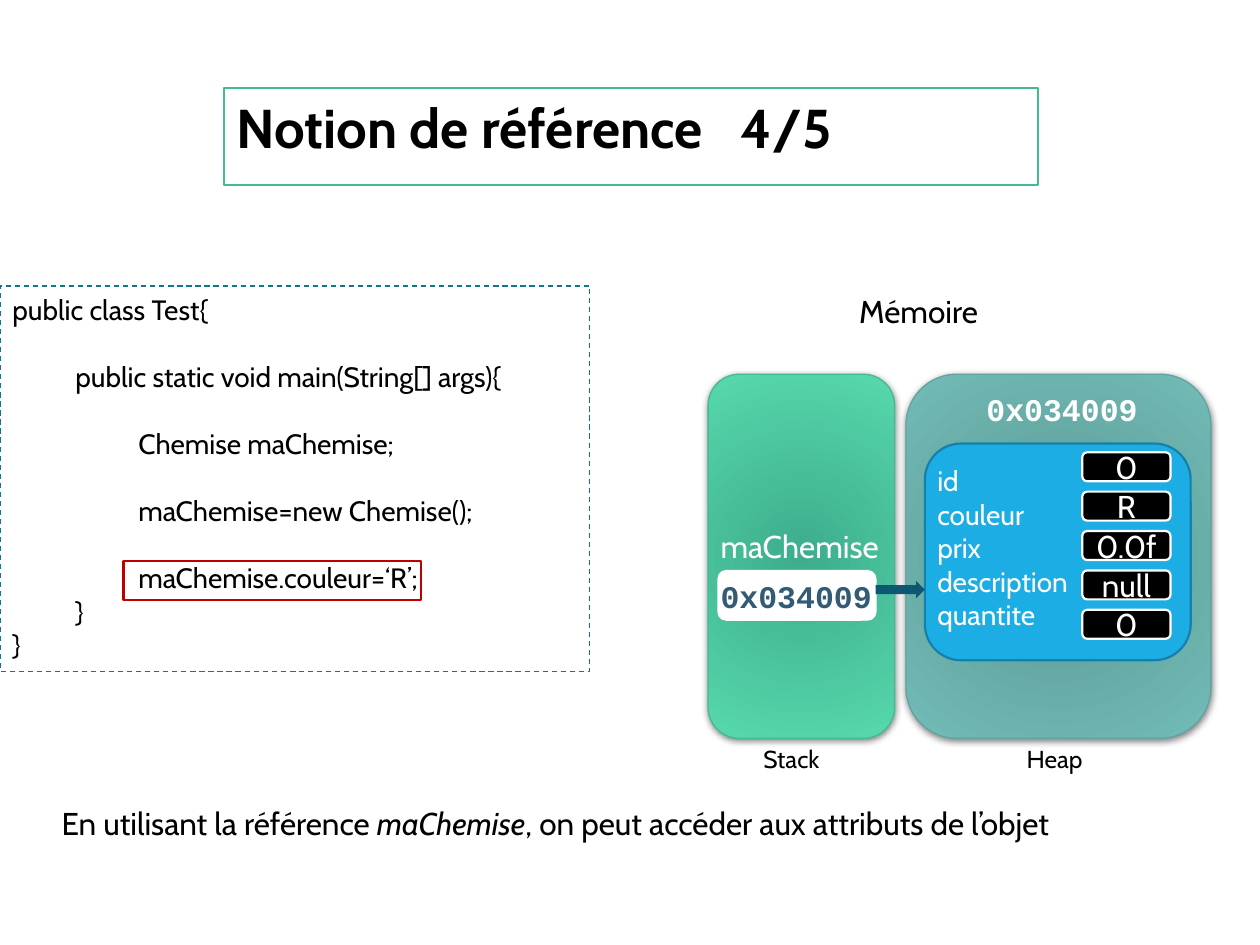
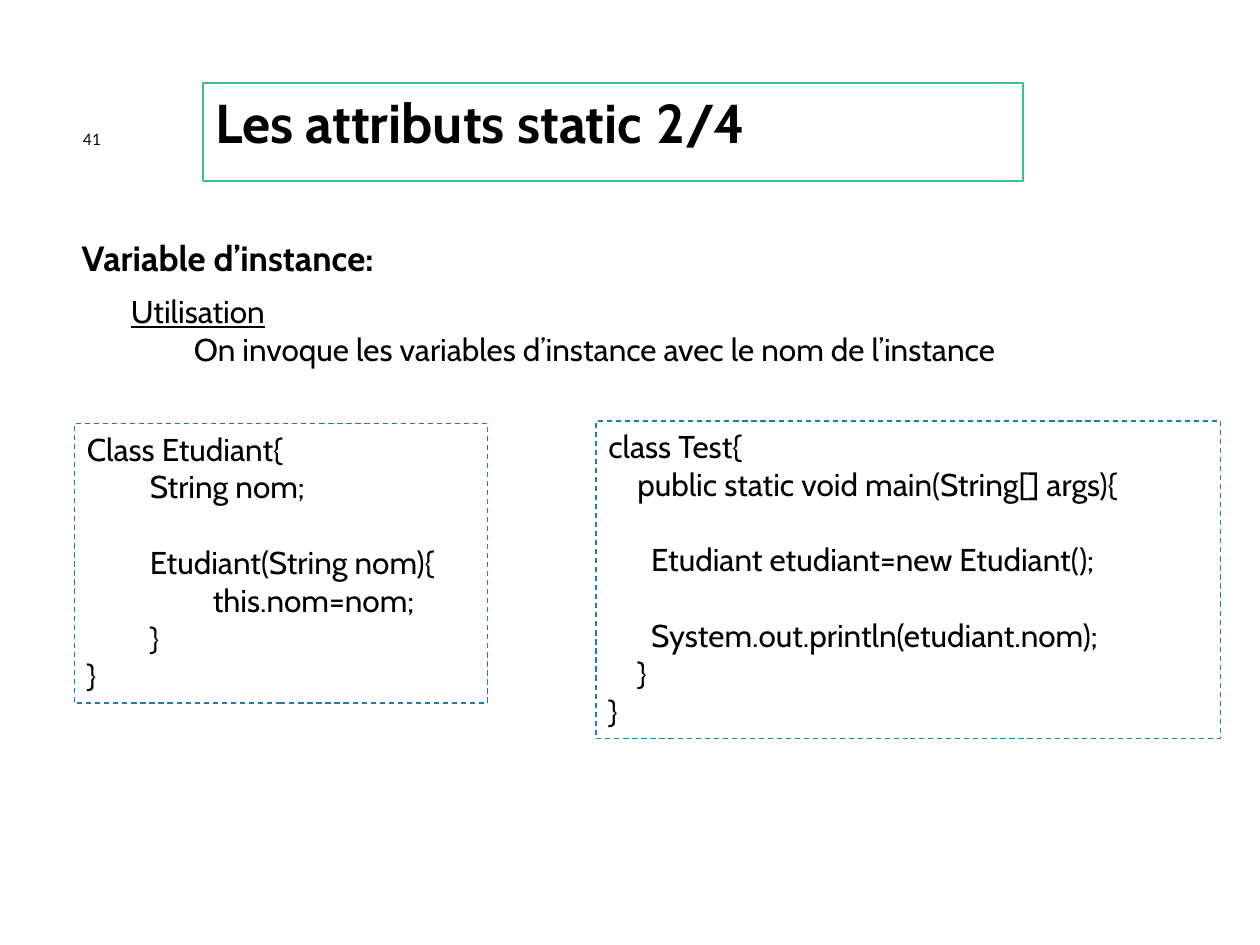
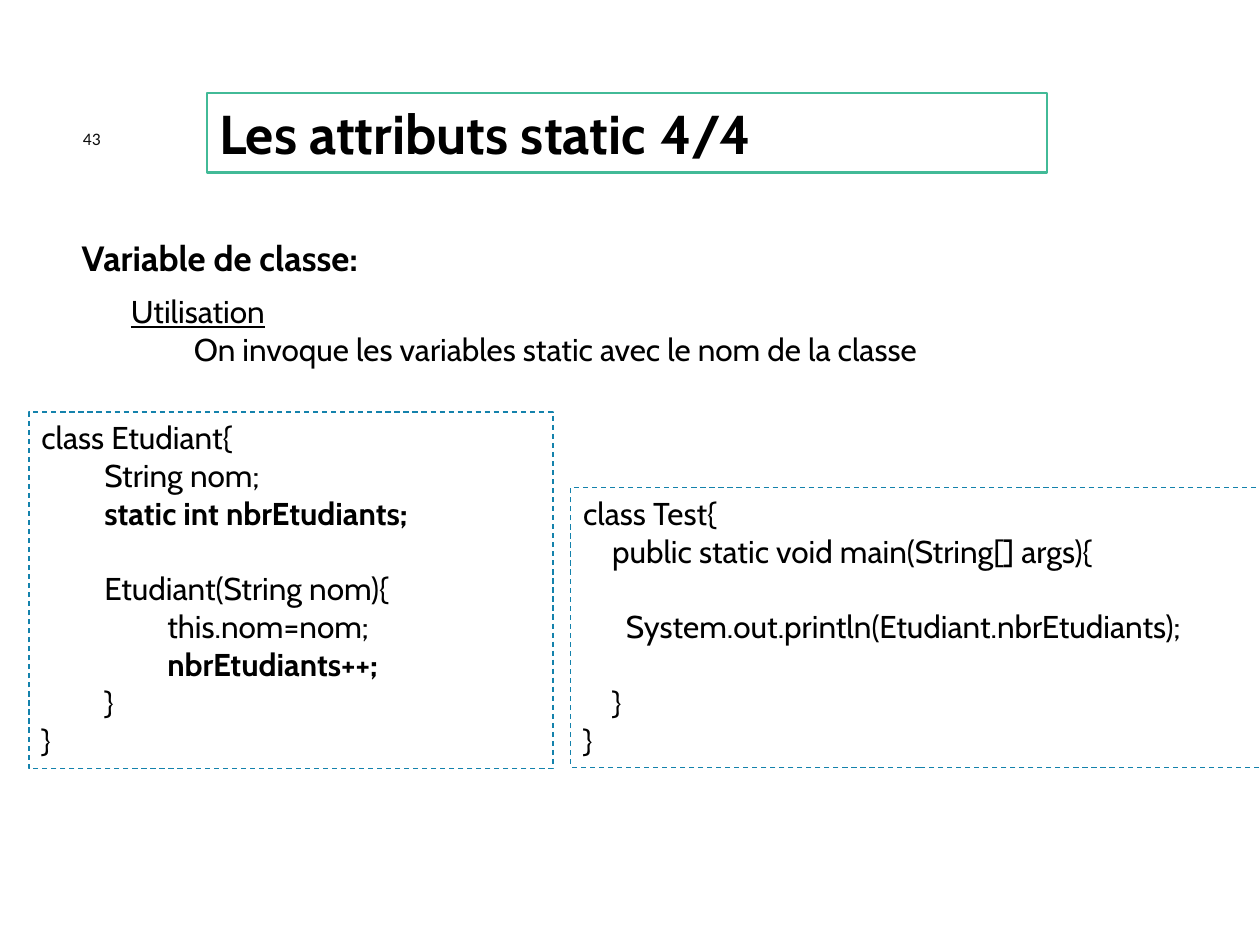
from dataclasses import dataclass

from lxml import etree
from pptx import Presentation
from pptx.dml.color import RGBColor
from pptx.enum.dml import MSO_LINE
from pptx.enum.shapes import MSO_SHAPE
from pptx.enum.text import MSO_ANCHOR, PP_ALIGN
from pptx.oxml.ns import qn
from pptx.util import Inches, Pt

RECT = MSO_SHAPE.RECTANGLE
ROUND = MSO_SHAPE.ROUNDED_RECTANGLE
ARROW = MSO_SHAPE.RIGHT_ARROW
DASH = MSO_LINE.DASH
TOP, MIDDLE = MSO_ANCHOR.TOP, MSO_ANCHOR.MIDDLE
LEFT, CENTER = PP_ALIGN.LEFT, PP_ALIGN.CENTER


@dataclass(frozen=True)
class Theme:
    font: str = "Cabin"
    mono: str = "Courier New"
    number_font: str = "Calibri"
    black: str = "000000"
    white: str = "FFFFFF"
    number: str = "0D0D0D"
    accent: str = "42BA97"
    code_line: str = "1482AC"
    code_line_dark: str = "0C788E"
    highlight: str = "C00000"
    stack: tuple = ("3DAD8D", "57D8AC")
    heap: tuple = ("5B9894", "72BBB6")
    heap_line: str = "62A39F"
    instance: str = "1CADE4"
    instance_line: str = "1580A9"
    address: str = "335B74"
    arrow: str = "0E5772"
    title_size: float = 31.2
    heading_size: float = 20
    body_size: float = 18
    code_size: float = 16
    label_size: float = 14
    number_size: float = 10
    line_pitch: float = 1.2
    thin: float = 0.75
    thick: float = 1.25


@dataclass(frozen=True)
class Box:
    x: float
    y: float
    w: float
    h: float

    def inner(self, dx, dy, w, h):
        return Box(self.x + dx, self.y + dy, w, h)

    def emu(self):
        return [Inches(v) for v in (self.x, self.y, self.w, self.h)]


@dataclass(frozen=True)
class Line:
    text: str
    indent: float = 0
    gap: bool = False
    bold: bool = False
    underline: bool = False


T = Theme()


def rgb(value):
    return RGBColor.from_string(value)


def add_shape(s, kind, box, fill=None, line=None, width=T.thick, dash=None):
    sp = s.shapes.add_shape(kind, *box.emu())
    sp.shadow.inherit = False
    if fill:
        sp.fill.solid()
        sp.fill.fore_color.rgb = rgb(fill)
    else:
        sp.fill.background()
    if line:
        sp.line.color.rgb = rgb(line)
        sp.line.width = Pt(width)
        if dash:
            sp.line.dash_style = dash
    else:
        sp.line.fill.background()
    return sp


def set_frame(sp, anchor=TOP, wrap=True):
    tf = sp.text_frame
    tf.word_wrap = wrap
    tf.vertical_anchor = anchor
    return tf


def add_run(p, text, size, color=T.black, font=T.font, bold=False,
            italic=False, underline=False):
    r = p.add_run()
    r.text = text
    f = r.font
    f.name, f.size, f.color.rgb = font, Pt(size), rgb(color)
    f.bold, f.italic, f.underline = bold, italic, underline


def add_lines(tf, lines, size, color=T.black):
    for i, line in enumerate(lines):
        p = tf.add_paragraph() if i else tf.paragraphs[0]
        p.alignment = LEFT
        p._p.get_or_add_pPr().set("marL", str(Inches(line.indent)))
        if line.gap:
            p.space_before = Pt(size * T.line_pitch)
        add_run(p, line.text, size, color, bold=line.bold,
                underline=line.underline)


def add_label(s, box, text, size, anchor=TOP, **style):
    tf = set_frame(s.shapes.add_textbox(*box.emu()), anchor)
    add_run(tf.paragraphs[0], text, size, **style)


def add_title(s, box, text, part, tab):
    tf = set_frame(add_shape(s, RECT, box, line=T.accent))
    p = tf.paragraphs[0]
    p.alignment = LEFT
    tabs = etree.SubElement(p._p.get_or_add_pPr(), qn("a:tabLst"))
    etree.SubElement(tabs, qn("a:tab"), pos=str(Inches(tab)), algn="l")
    add_run(p, text + "\t" + part, T.title_size, bold=True)


def add_number(s, number):
    add_label(s, Box(0.56, 0.94, 0.58, 0.32), number, T.number_size, MIDDLE,
              color=T.number, font=T.number_font)


def add_code(s, box, lines, size=T.body_size, line=T.code_line):
    sp = add_shape(s, RECT, box, line=line, width=T.thin, dash=DASH)
    add_lines(set_frame(sp), lines, size)


def add_usage(s, box, heading, rule):
    add_label(s, box.inner(0, 0, 2.93, 0.44), heading, T.heading_size, bold=True)
    body = s.shapes.add_textbox(*box.inner(0.39, 0.44, 8.67, 0.71).emu())
    add_lines(set_frame(body),
              [Line("Utilisation", underline=True), Line(rule, 0.5)],
              T.body_size)


def add_memory_panel(s, box, colors, line):
    sp = add_shape(s, ROUND, box, line=line, width=T.thin)
    sp.fill.gradient()
    for stop, color in zip(sp.fill.gradient_stops, colors):
        stop.color.rgb = rgb(color)
    pr = sp._element.spPr
    grad = pr.find(qn("a:gradFill"))
    grad.remove(grad.find(qn("a:lin")))
    radial = etree.SubElement(grad, qn("a:path"), path="circle")
    etree.SubElement(radial, qn("a:fillToRect"),
                     {side: "100000" for side in "ltrb"})
    shadow = etree.SubElement(pr.find(qn("a:effectLst")), qn("a:outerShdw"),
                              blurRad=str(Pt(4)), dist=str(Pt(1)),
                              dir="5400000", rotWithShape="0")
    black = etree.SubElement(shadow, qn("a:srgbClr"), val=T.black)
    etree.SubElement(black, qn("a:alpha"), val="50000")


def add_stack(s, box, variable, address):
    add_memory_panel(s, box, T.stack, T.accent)
    add_shape(s, ROUND, box.inner(0.08, 1.56, 1.25, 0.39), T.white, T.white, 1)
    add_label(s, box.inner(0, 1.16, 1.55, 0.4), variable, T.body_size,
              color=T.white)
    add_label(s, box.inner(0, 1.56, 1.41, 0.4), address, T.body_size,
              color=T.address, font=T.mono, bold=True)
    add_label(s, box.inner(0.34, box.h, 0.73, 0.34), "Stack", T.label_size)


def add_heap(s, box, address, fields):
    add_memory_panel(s, box, T.heap, T.heap_line)
    instance = box.inner(0.15, 0.55, 2.11, 1.72)
    add_shape(s, ROUND, instance, T.instance, T.instance_line)
    for i, (name, value) in enumerate(fields):
        cell = instance.inner(1.25, 0.07 + i * 0.3125, 0.7, 0.23)
        tf = set_frame(add_shape(s, ROUND, cell, T.black, T.white), MIDDLE, False)
        tf.paragraphs[0].alignment = CENTER
        add_run(tf.paragraphs[0], value, T.body_size, T.white)
    names = s.shapes.add_textbox(*instance.inner(0, 0.11, 1.28, 1.45).emu())
    add_lines(set_frame(names), [Line(name) for name, value in fields],
              T.code_size, T.white)
    add_label(s, box.inner(0.54, 0.08, 1.41, 0.4), address, T.body_size,
              color=T.white, font=T.mono, bold=True)
    add_label(s, box.inner(0.86, box.h, 0.73, 0.34), "Heap", T.label_size)


def add_memory(s, box, variable, address, fields):
    add_label(s, box.inner(1.1, 0, 1.29, 0.4), "Mémoire", T.body_size)
    add_stack(s, box.inner(0, 0.7, 1.48, 2.89), variable, address)
    add_heap(s, box.inner(1.57, 0.7, 2.42, 2.89), address, fields)
    add_shape(s, ARROW, box.inner(1.33, 2.34, 0.39, 0.14), T.arrow)


def build_reference(s):
    code = Box(0, 2.27, 4.68, 3.06)
    add_code(s, code, [
        Line("public class Test{"),
        Line("public static void main(String[] args){", 0.5, gap=True),
        Line("Chemise maChemise;", 1, gap=True),
        Line("maChemise=new Chemise();", 1, gap=True),
        Line("maChemise.couleur=‘R’;", 1, gap=True),
        Line("}", 0.5),
        Line("}"),
    ], T.code_size, T.code_line_dark)
    add_shape(s, RECT, code.inner(0.98, 2.18, 2.36, 0.31), line=T.highlight)
    add_memory(s, Box(5.62, 2.27, 3.99, 3.93), "maChemise", "0x034009", [
        ("id", "0"), ("couleur", "R"), ("prix", "0.0f"),
        ("description", "null"), ("quantite", "0"),
    ])
    note = s.shapes.add_textbox(*Box(0.39, 6.33, 9.66, 0.4).emu())
    p = set_frame(note).paragraphs[0]
    add_run(p, "En utilisant la référence ", T.body_size)
    add_run(p, "maChemise", T.body_size, italic=True)
    add_run(p, ", on peut accéder aux attributs de l’objet", T.body_size)
    add_title(s, Box(1.78, 0.7, 6.46, 0.77), "Notion de référence", "4/5", 4)


def build_static(s, number, title_box, part, heading, rule, codes):
    add_usage(s, Box(0.55, 1.83, 9.06, 1.15), heading, rule)
    for box, lines in codes:
        add_code(s, box, lines)
    add_title(s, title_box, "Les attributs static ", part, 3.5)
    add_number(s, number)


def test_class(*statements, closing_gap=False):
    return [
        Line("class Test{"),
        Line("public static void main(String[] args){", 0.23),
        *[Line(text, 0.34, gap=True) for text in statements],
        Line("}", 0.23, gap=closing_gap),
        Line("}"),
    ]


def student_class(opening, field=(), update=()):
    return [
        Line(opening),
        Line("String nom;", 0.5),
        *[Line(text, 0.5, bold=True) for text in field],
        Line("Etudiant(String nom){", 0.5, gap=True),
        Line("this.nom=nom;", 1),
        *[Line(text, 1, bold=True) for text in update],
        Line("}", 0.5),
        Line("}"),
    ]


prs = Presentation()
prs.slide_width, prs.slide_height = Inches(10), Inches(7.5)
blank = prs.slide_layouts[6]

build_reference(prs.slides.add_slide(blank))
build_static(
    prs.slides.add_slide(blank), "41", Box(1.61, 0.66, 6.51, 0.78), "2/4",
    "Variable d’instance:",
    "On invoque les variables d’instance avec le nom de l’instance",
    [(Box(0.59, 3.36, 3.28, 2.22), student_class("Class Etudiant{")),
     (Box(4.73, 3.34, 4.96, 2.52),
      test_class("Etudiant etudiant=new Etudiant();",
                 "System.out.println(etudiant.nom);"))])
build_static(
    prs.slides.add_slide(blank), "43", Box(1.64, 0.74, 6.67, 0.63), "4/4",
    "Variable de classe:",
    "On invoque les variables static avec le nom de la classe",
    [(Box(0.23, 3.27, 4.16, 2.83),
      student_class("class Etudiant{", ["static int nbrEtudiants;"],
                    ["nbrEtudiants++;"])),
     (Box(4.53, 3.87, 5.54, 2.22),
      test_class("System.out.println(Etudiant.nbrEtudiants);",
                 closing_gap=True))])

prs.save("out.pptx")
